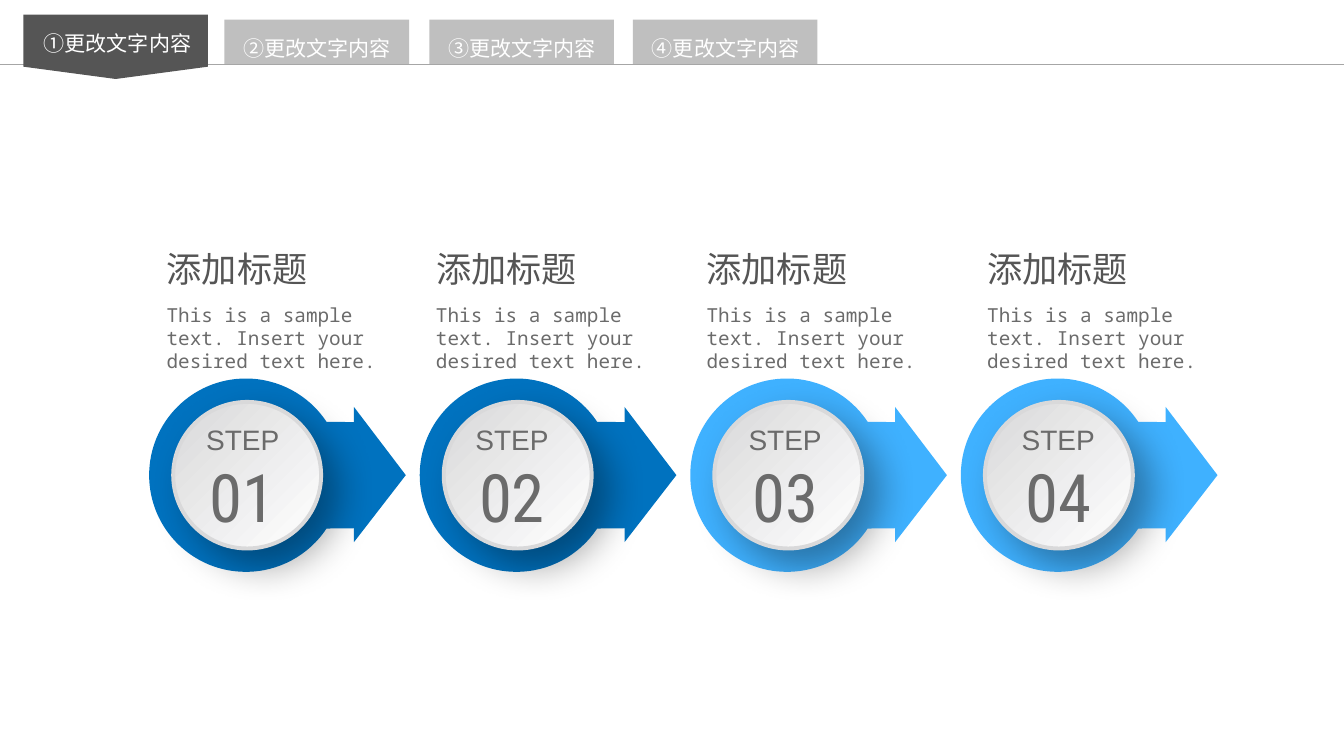
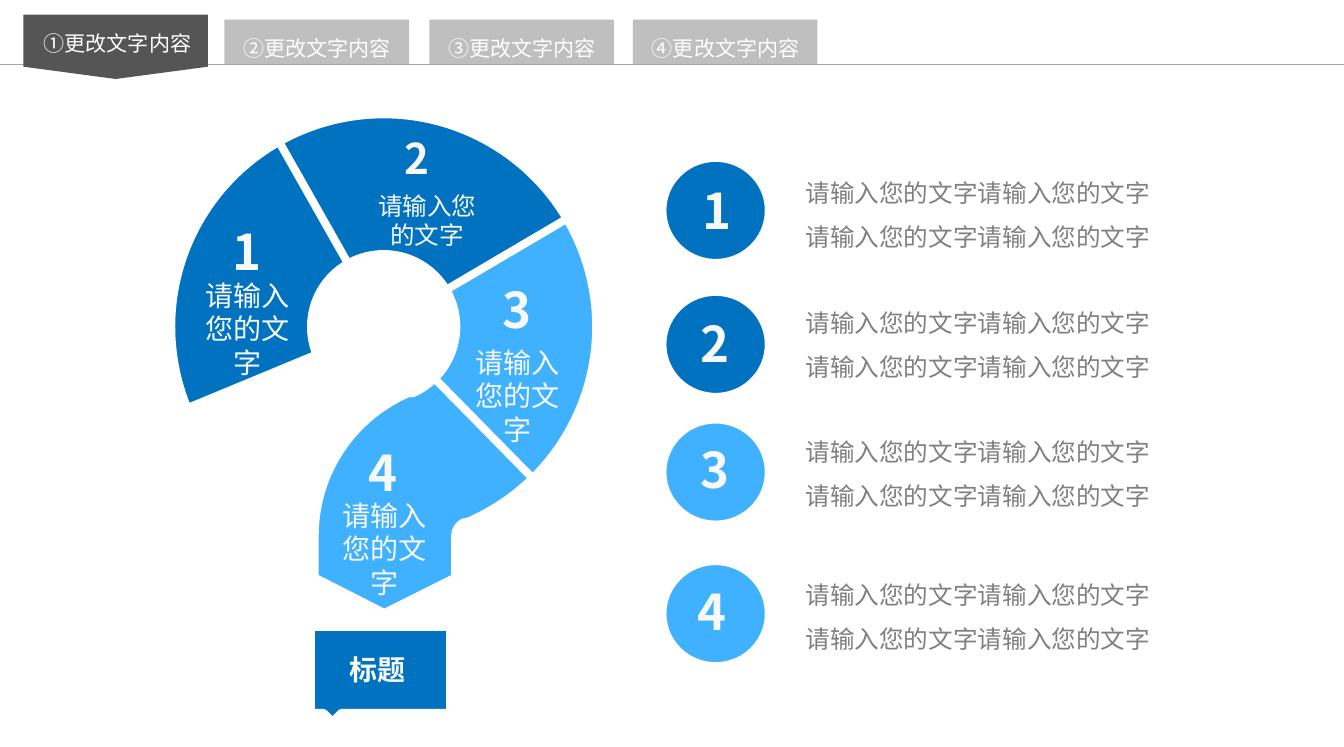
"""Builds two slides with a shared tab header: four step arrows and a question-mark diagram."""
import math
from typing import Any, NamedTuple, Sequence

import lxml.etree
import pptx
import pptx.dml.color
import pptx.enum.shapes
import pptx.enum.text
import pptx.oxml.ns
import pptx.util

SHAPE = pptx.enum.shapes.MSO_SHAPE
CENTER = pptx.enum.text.PP_ALIGN.CENTER
LEFT = pptx.enum.text.PP_ALIGN.LEFT
AUTO_SIZE = pptx.enum.text.MSO_AUTO_SIZE
EMU_PER_PX = 9144
SLIDE_WIDTH, SLIDE_HEIGHT = 1063, 591
BLUE, SKY, WHITE, NEAR_WHITE = "0072BF", "3FB1FF", "FFFFFF", "F8F8F8"
DARK, GRAY, TAB_GRAY, DISC_GRAY = "555555", "6B6B6B", "BFBFBF", "D9D9DA"
qn = pptx.oxml.ns.qn


class Box(NamedTuple):
    left: int
    top: int
    width: int
    height: int


class Font(NamedTuple):
    size: int
    color: str
    name: str = "Noto Sans CJK SC"
    bold: bool = False


class Layout(NamedTuple):
    alignment: Any = LEFT
    line_spacing: float = 1.0
    margins: tuple[int, int] = (10, 5)
    wrap: bool = True
    auto_size: Any = AUTO_SIZE.SHAPE_TO_FIT_TEXT


class Step(NamedTuple):
    number: str
    color: str
    label_left: int
    number_left: int


class Segment(NamedTuple):
    number: str
    number_box: Box
    number_size: int
    text_box: Box
    text_size: int


class ListItem(NamedTuple):
    number: str
    color: str
    circle_top: int
    number_box: Box
    text_top: int
    has_plate: bool = False


TAB_FONT = Font(12, WHITE)
TAB_LAYOUT = Layout(CENTER, 1.2, (0, 0), auto_size=AUTO_SIZE.NONE)
TAB_TITLES = {138: "②更改文字内容", 300: "③更改文字内容", 461: "④更改文字内容"}
NUMBER_LAYOUT = Layout(wrap=False)
STEPS = (
    Step("01", BLUE, 122, 155), Step("02", BLUE, 335, 368),
    Step("03", SKY, 549, 584), Step("04", SKY, 771, 800),
)
SEGMENTS = (
    Segment("1", Box(174, 170, 44, 57), 28, Box(145, 215, 101, 91), 16),
    Segment("2", Box(310, 100, 41, 51), 24, Box(288, 146, 100, 57), 14),
    Segment("3", Box(388, 216, 44, 57), 28, Box(359, 268, 101, 91), 16),
    Segment("4", Box(282, 345, 44, 57), 28, Box(254, 389, 101, 91), 16),
)
LIST_ITEMS = (
    ListItem("1", BLUE, 125, Box(546, 138, 44, 57), 125, True),
    ListItem("2", BLUE, 231, Box(544, 243, 44, 57), 228),
    ListItem("3", SKY, 332, Box(544, 343, 44, 57), 330),
    ListItem("4", SKY, 444, Box(542, 455, 44, 57), 443),
)
RING_CENTER, RING_OUTER, RING_INNER = (303.5, 258.5), 168, 57.5
RING_SLICES = ((240.5, 329.5, BLUE), (329.5, 405.5, SKY), (157.5, 240.5, BLUE))


def emu(px: float) -> pptx.util.Emu:
    """Turn px into EMU."""
    return pptx.util.Emu(round(px * EMU_PER_PX))


def rgb(color: str) -> pptx.dml.color.RGBColor:
    """Turn a hex string into a colour."""
    return pptx.dml.color.RGBColor.from_string(color)


def set_values(target: Any, values: dict[str, Any]) -> None:
    """Set every attribute named in the dict."""
    for name, value in values.items():
        setattr(target, name, value)


def paint(shape: Any, fill: str, line: str | None = None, width: float = 4.5) -> None:
    """Give a shape a plain fill and an optional outline, without shadow."""
    shape.shadow.inherit = False
    shape.fill.solid()
    shape.fill.fore_color.rgb = rgb(fill)
    if line is None:
        shape.line.fill.background()
    else:
        shape.line.color.rgb = rgb(line)
        shape.line.width = pptx.util.Pt(width)


def add_shape(slide: Any, kind: Any, box: Box, fill: str, line: str | None = None, width: float = 4.5) -> Any:
    """Add a painted preset shape."""
    shape = slide.shapes.add_shape(kind, *map(emu, box))
    paint(shape, fill, line, width)
    return shape


def write(shape: Any, lines: Sequence[tuple[str, Font]], layout: Layout) -> None:
    """Write one formatted paragraph per line into a shape."""
    frame = shape.text_frame
    side, edge = map(emu, layout.margins)
    set_values(frame, {
        "word_wrap": layout.wrap, "auto_size": layout.auto_size, "vertical_anchor": pptx.enum.text.MSO_ANCHOR.TOP,
        "margin_left": side, "margin_right": side, "margin_top": edge, "margin_bottom": edge,
    })
    for index, (text, font) in enumerate(lines):
        paragraph = frame.add_paragraph() if index else frame.paragraphs[0]
        set_values(paragraph, {"alignment": layout.alignment, "line_spacing": layout.line_spacing})
        run = paragraph.add_run()
        run.text = text
        set_values(run.font, {"size": pptx.util.Pt(font.size), "bold": font.bold, "name": font.name})
        run.font.color.rgb = rgb(font.color)
    for properties in shape.element.iter(qn("a:rPr")):
        typeface = properties.find(qn("a:latin")).get("typeface")
        lxml.etree.SubElement(properties, qn("a:ea"), typeface=typeface)


def add_text(slide: Any, box: Box, lines: Sequence[tuple[str, Font]], layout: Layout = Layout()) -> None:
    """Add a text box."""
    write(slide.shapes.add_textbox(*map(emu, box)), lines, layout)


def arc(center: tuple[float, float], radius: float, start: float, end: float) -> list[tuple]:
    """Return a start node and one Bézier node per quadrant, in degrees clockwise from the right."""
    def polar(degrees: float, offset: float = 0) -> tuple[float, float]:
        angle = math.radians(degrees)
        cosine, sine = math.cos(angle), math.sin(angle)
        return (center[0] + radius * (cosine - offset * sine), center[1] + radius * (sine + offset * cosine))

    low, high = sorted((start, end))
    stops = sorted({low, high, *(a for a in range(0, 720, 90) if low < a < high)}, reverse=start > end)
    nodes: list[tuple] = [(polar(start),)]
    for first, last in zip(stops, stops[1:]):
        handle = 4 / 3 * math.tan(math.radians(last - first) / 4)
        nodes.append((polar(first, handle), polar(last, -handle), polar(last)))
    return nodes


def add_outline(slide: Any, nodes: Sequence[tuple], fill: str, line: str | None = None, shift: int = 0) -> None:
    """Add a closed freeform; a node of three points is a curve."""
    points = [(emu(x + shift), emu(y)) for node in nodes for x, y in node]
    builder = slide.shapes.build_freeform(*points[0], scale=1.0)
    builder.add_line_segments(points[1:], close=True)
    shape = builder.convert_to_shape()
    segments = iter(list(shape.element.iter(qn("a:lnTo"))))
    for node in nodes[1:]:
        head, *rest = [next(segments) for _ in node]
        if rest:
            head.tag = qn("a:cubicBezTo")
        for extra in rest:
            head.append(extra[0])
            extra.getparent().remove(extra)
    paint(shape, fill, line)


def add_tab_plate(slide: Any, box: Box, point: float, color: str) -> None:
    """Add a pentagon turned to point downwards."""
    plate = add_shape(slide, SHAPE.PENTAGON, box, color)
    plate.rotation = 90
    plate.adjustments[0] = point


def add_header(slide: Any) -> None:
    """Draw the rule, the idle tabs and the active tab with the title."""
    ends = map(emu, (0, 51, SLIDE_WIDTH, 51))
    rule = slide.shapes.add_connector(pptx.enum.shapes.MSO_CONNECTOR.STRAIGHT, *ends)
    rule.line.color.rgb = rgb("A6A6A6")
    rule.line.width = pptx.util.Pt(0.75)
    lxml.etree.SubElement(rule.element.find(qn("p:spPr")), qn("a:effectLst"))
    for left, text in TAB_TITLES.items():
        add_tab_plate(slide, Box(left + 95, -40, 35, 146), 0, TAB_GRAY)
        add_text(slide, Box(left, 24, 226, 27), [(text, TAB_FONT)], TAB_LAYOUT)
    add_tab_plate(slide, Box(66, -36, 51, 146), 0.19, DARK)
    title = slide.shapes.title
    set_values(title, dict(zip(Box._fields, map(emu, (-20, 20, 226, 27)))))
    write(title, [("①更改文字内容", TAB_FONT)], TAB_LAYOUT)
    slide.shapes.element.append(title.element)


def add_disc(slide: Any, box: Box) -> None:
    """Add a gradient disc with a soft shadow."""
    disc = add_shape(slide, SHAPE.OVAL, box, WHITE, DISC_GRAY, 2.25)
    disc.fill.gradient()
    disc.fill.gradient_angle = 315
    for stop, color in zip(disc.fill.gradient_stops, (DISC_GRAY, WHITE)):
        stop.color.rgb = rgb(color)
    look = {"blurRad": pptx.util.Pt(22), "dist": pptx.util.Pt(13), "dir": 45 * 60000, "algn": "tl", "rotWithShape": 0}
    shadow = lxml.etree.SubElement(disc.element.find(".//" + qn("a:effectLst")), qn("a:outerShdw"))
    for name, value in look.items():
        shadow.set(name, str(value))
    tint = lxml.etree.SubElement(shadow, qn("a:srgbClr"), val="000000")
    lxml.etree.SubElement(tint, qn("a:alpha"), val="35000")


def build_steps(slide: Any) -> None:
    """Draw four step arrows with their labels."""
    head = [((280, 334),), ((280, 322),), ((321, 376),), ((280, 429),), ((280, 418),)]
    arrow = arc((194.5, 376), 76.5, 33.5, 326.5) + head
    sample = "This is a sample text. Insert your desired text here."
    for index, step in enumerate(STEPS):
        shift = 214 * index
        add_outline(slide, arrow, step.color, shift=shift)
        add_disc(slide, Box(137 + shift, 318, 117, 116))
        lines = [("STEP", Font(16, GRAY, "Arial")), (step.number, Font(38, GRAY, "Roboto Condensed"))]
        add_text(slide, Box(step.number_left, 330, 74, 99), lines, Layout(CENTER, margins=(8, 4), wrap=False))
        add_text(slide, Box(step.label_left, 235, 210, 47), [(sample, Font(11, GRAY, "Noto Sans Mono"))])
        add_text(slide, Box(step.label_left, 191, 159, 44), [("添加标题", Font(20, DARK))])


def build_question(slide: Any) -> None:
    """Draw the question mark with its caption and the numbered list."""
    plate = ((246, 496), (356, 496), (356, 564), (270, 564), (263, 571), (256, 564), (246, 564))
    add_outline(slide, [(point,) for point in plate], BLUE, WHITE)
    bend = (372, 424)
    mark = arc(RING_CENTER, RING_OUTER, 157.5, 427) + arc(bend, 12, 247, 180)
    mark += [((360, 457),), ((304, 485),), ((249, 457),)]
    mark += arc(bend, 123, 180, 247) + arc(RING_CENTER, RING_INNER, 427, 157.5)
    add_outline(slide, mark, SKY, WHITE)
    for start, end, color in RING_SLICES:
        ring = arc(RING_CENTER, RING_OUTER, start, end) + arc(RING_CENTER, RING_INNER, end, start)
        add_outline(slide, ring, color, WHITE)
    for segment in SEGMENTS:
        number = (segment.number, Font(segment.number_size, NEAR_WHITE, bold=True))
        add_text(slide, segment.number_box, [number], NUMBER_LAYOUT)
        add_text(slide, segment.text_box, [("请输入您的文字", Font(segment.text_size, NEAR_WHITE))], Layout(CENTER))
    caption = ("标题", Font(16, NEAR_WHITE, bold=True))
    add_text(slide, Box(249, 512, 100, 35), [caption], Layout(CENTER, margins=(8, 4)))
    for item in LIST_ITEMS:
        add_shape(slide, SHAPE.OVAL, Box(524, item.circle_top, 84, 83), item.color, WHITE)
        number = [(item.number, Font(28, NEAR_WHITE, bold=True))]
        if item.has_plate:
            write(add_shape(slide, SHAPE.RECTANGLE, item.number_box, item.color), number, NUMBER_LAYOUT)
        else:
            add_text(slide, item.number_box, number, NUMBER_LAYOUT)
        lines = [("请输入您的文字请输入您的文字", Font(14, "808080"))] * 2
        add_text(slide, Box(629, item.text_top, 351, 79), lines, Layout(LEFT, 1.5, (8, 4)))


presentation = pptx.Presentation()
set_values(presentation, {"slide_width": emu(SLIDE_WIDTH), "slide_height": emu(SLIDE_HEIGHT)})
for build in (build_steps, build_question):
    page = presentation.slides.add_slide(presentation.slide_layouts[5])
    build(page)
    add_header(page)
presentation.save("out.pptx")
